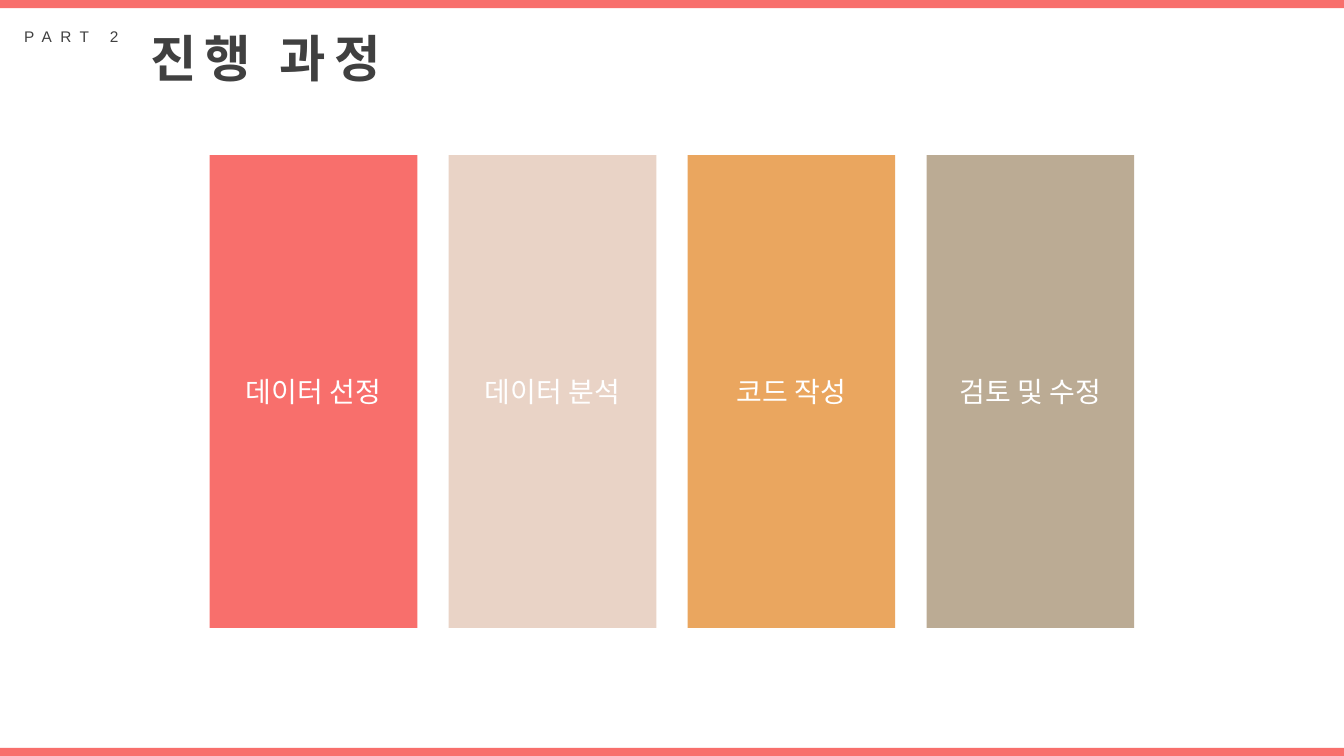
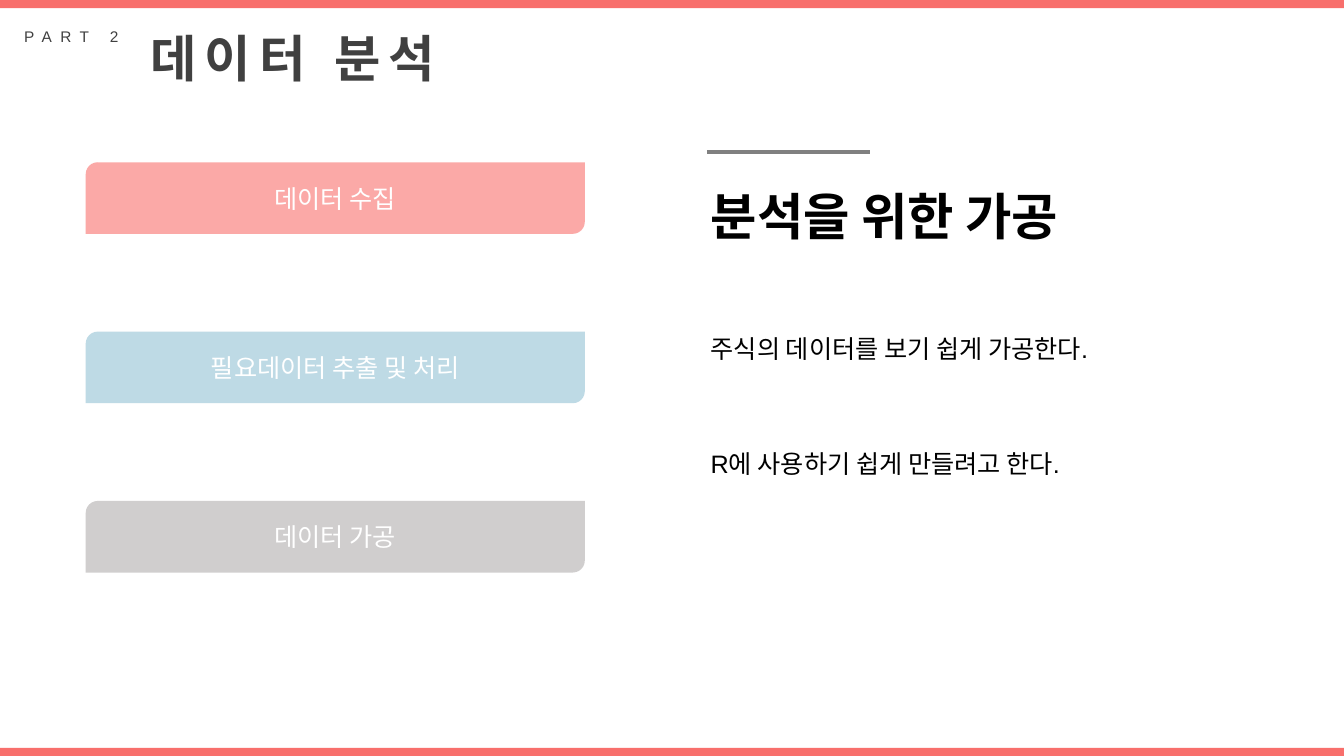
from dataclasses import dataclass

from lxml import etree
from pptx import Presentation
from pptx.dml.color import RGBColor
from pptx.enum.shapes import MSO_CONNECTOR, MSO_SHAPE
from pptx.enum.text import MSO_ANCHOR, MSO_AUTO_SIZE, PP_ALIGN
from pptx.oxml.ns import qn
from pptx.util import Inches, Pt

RECT = MSO_SHAPE.RECTANGLE
DIAGONAL_ROUND = MSO_SHAPE.ROUND_2_DIAG_RECTANGLE
STRAIGHT = MSO_CONNECTOR.STRAIGHT
LEFT, CENTER, JUSTIFY = PP_ALIGN.LEFT, PP_ALIGN.CENTER, PP_ALIGN.JUSTIFY
MIDDLE = MSO_ANCHOR.MIDDLE
GROW = MSO_AUTO_SIZE.SHAPE_TO_FIT_TEXT

SLIDE_W, SLIDE_H = 13.33, 7.5
BAND_H = 0.08
BLANK_LAYOUT = 6


@dataclass(frozen=True)
class Theme:
    font: str = "Arial"
    coral: str = "F86F6C"
    blush: str = "E9D3C6"
    amber: str = "EAA65F"
    taupe: str = "BBAB94"
    pink: str = "FBA9A7"
    sky: str = "BEDAE5"
    silver: str = "D0CECE"
    gray: str = "808080"
    heading: str = "404040"
    black: str = "000000"
    white: str = "FFFFFF"
    title_size: int = 36
    card_size: int = 20
    body_size: int = 18
    part_size: int = 11
    tracking: int = 6


class Deck:
    def __init__(self, theme):
        self.theme = theme
        self.prs = Presentation()
        self.prs.slide_width = Inches(SLIDE_W)
        self.prs.slide_height = Inches(SLIDE_H)
        self.slide = None

    def new_slide(self, part, title, title_width):
        """Start a slide with its bands, part label and title."""
        theme = self.theme
        self.slide = self.prs.slides.add_slide(self.prs.slide_layouts[BLANK_LAYOUT])
        for top in (0, SLIDE_H - BAND_H):
            self.block(0, top, SLIDE_W, BAND_H, theme.coral)
        self.text(1.39, 0.22, title_width, 0.71, [title], theme.title_size,
                  theme.heading, bold=True, tracking=theme.tracking)
        self.text(0.14, 0.22, 1.25, 0.29, [part], theme.part_size,
                  theme.heading, tracking=theme.tracking)

    def block(self, left, top, width, height, fill, label=None, size=None, kind=RECT):
        """Add a filled shape, with a centred label if one is given."""
        shape = self.slide.shapes.add_shape(
            kind, Inches(left), Inches(top), Inches(width), Inches(height))
        shape.shadow.inherit = False
        shape.fill.solid()
        shape.fill.fore_color.rgb = RGBColor.from_string(fill)
        shape.line.fill.background()
        if label:
            shape.text_frame.word_wrap = True
            shape.text_frame.vertical_anchor = MIDDLE
            self.set_lines(shape.text_frame, [label], size, self.theme.white, align=CENTER)

    def text(self, left, top, width, height, lines, size, color, wrap=False, **style):
        """Add a text box that grows with its text."""
        box = self.slide.shapes.add_textbox(
            Inches(left), Inches(top), Inches(width), Inches(height))
        box.text_frame.word_wrap = wrap
        box.text_frame.auto_size = GROW
        self.set_lines(box.text_frame, lines, size, color, **style)

    def set_lines(self, frame, lines, size, color, bold=False, align=LEFT, tracking=0, gap=0):
        """Fill a text frame, one paragraph a line, gap points apart."""
        for index, line in enumerate(lines):
            paragraph = frame.add_paragraph() if index else frame.paragraphs[0]
            paragraph.alignment = align
            if index:
                paragraph.space_before = Pt(gap)
            font = paragraph.font
            font.name = self.theme.font
            font.size = Pt(size)
            font.bold = bold
            font.color.rgb = RGBColor.from_string(color)
            run = paragraph.add_run()
            run.text = line
            if tracking:
                run._r.get_or_add_rPr().set("spc", str(tracking * 100))

    def rule(self, left, right, y, color, weight):
        """Add a horizontal line."""
        line = self.slide.shapes.add_connector(
            STRAIGHT, Inches(left), Inches(y), Inches(right), Inches(y))
        line.line.color.rgb = RGBColor.from_string(color)
        line.line.width = Pt(weight)
        etree.SubElement(line._element.spPr, qn("a:effectLst"))


def process_slide(deck):
    theme = deck.theme
    deck.new_slide("PART 2", "진행 과정", 2.78)
    # Four steps, side by side
    steps = [("데이터 선정", theme.coral), ("데이터 분석", theme.blush),
             ("코드 작성", theme.amber), ("검토 및 수정", theme.taupe)]
    for index, (step, fill) in enumerate(steps):
        deck.block(2.08 + index * 2.37, 1.54, 2.06, 4.69, fill, step, theme.card_size)


def analysis_slide(deck):
    theme = deck.theme
    deck.new_slide("PART 2", "데이터 분석", 3.37)
    # Explanation on the right
    deck.text(6.95, 3.26, 5.75, 1.92,
              ["주식의 데이터를 보기 쉽게 가공한다.", "R에 사용하기 쉽게 만들려고 한다."],
              theme.body_size, theme.black, wrap=True, align=JUSTIFY, gap=60)
    deck.text(6.95, 1.79, 4.02, 0.71, ["분석을 위한 가공"],
              theme.title_size, theme.black, bold=True)
    deck.rule(7.01, 8.63, 1.51, theme.gray, 3)
    # Three stages, top to bottom
    stages = [("데이터 수집", theme.pink), ("필요데이터 추출 및 처리", theme.sky),
              ("데이터 가공", theme.silver)]
    for index, (stage, fill) in enumerate(stages):
        deck.block(0.85, 1.61 + index * 1.68, 4.95, 0.71, fill, stage,
                   theme.body_size, DIAGONAL_ROUND)


def main():
    deck = Deck(Theme())
    process_slide(deck)
    analysis_slide(deck)
    deck.prs.save("out.pptx")


if __name__ == "__main__":
    main()
